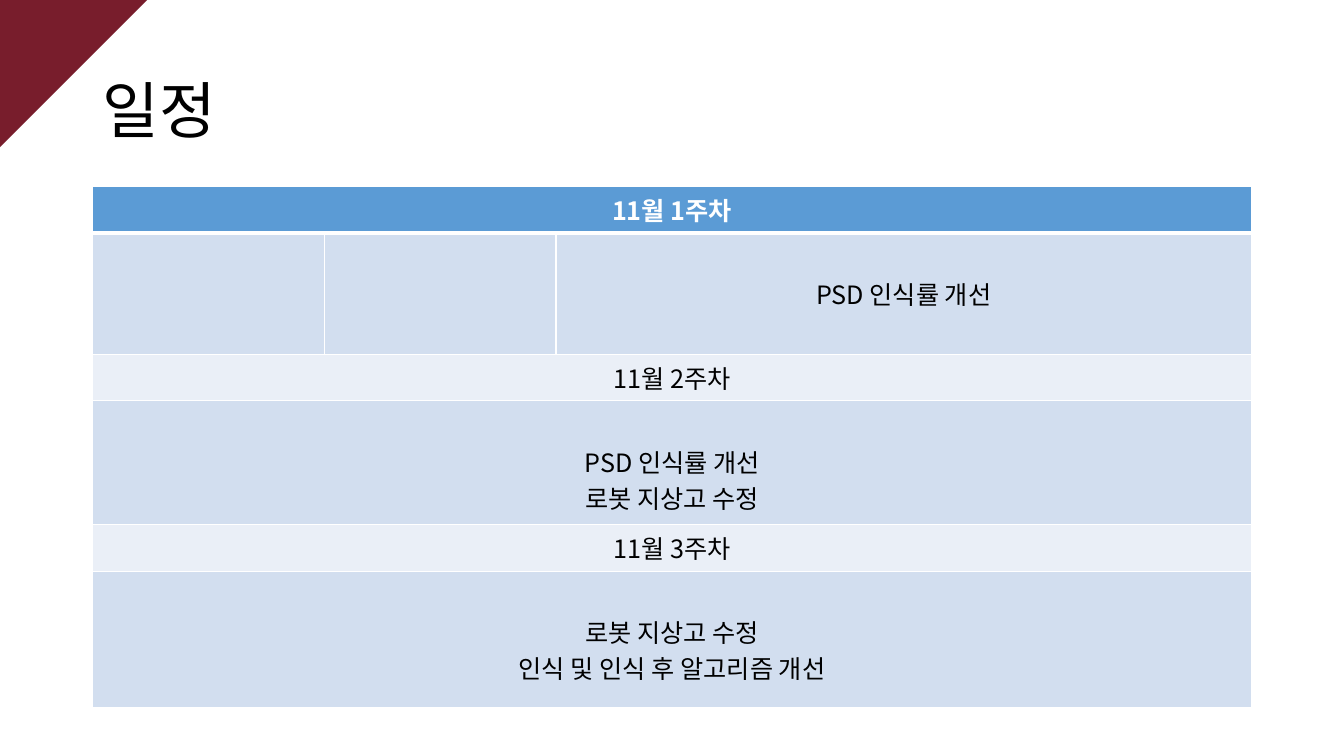
import pptx
import pptx.util
import pptx.dml.color
import pptx.enum.shapes
import pptx.enum.text
import pptx.oxml
import pptx.oxml.ns
from lxml import etree

Cm = pptx.util.Cm
Pt = pptx.util.Pt
RGB = pptx.dml.color.RGBColor
Align = pptx.enum.text.PP_ALIGN
Anchor = pptx.enum.text.MSO_ANCHOR

WINE = RGB(0x78, 0x1D, 0x2C)
BLUE = RGB(0x5B, 0x9B, 0xD5)
BAND = RGB(0xD2, 0xDE, 0xEF)
PALE = RGB(0xEA, 0xEF, 0xF7)
WHITE = RGB(0xFF, 0xFF, 0xFF)
BLACK = RGB(0x00, 0x00, 0x00)

LEFT, WIDTH = Cm(2.33), Cm(29.21)
COLS = [5.84, 5.84, 17.53]

# height in cm, fill, first column of the text, text
ROWS = [
    (1.12, BLUE, 0, "11월 1주차"),
    (3.05, BAND, 2, "PSD 인식률 개선"),
    (1.09, PALE, 0, "11월 2주차"),
    (3.12, BAND, 0, "PSD 인식률 개선\n로봇 지상고 수정"),
    (1.09, PALE, 0, "11월 3주차"),
    (3.45, BAND, 0, "로봇 지상고 수정\n인식 및 인식 후 알고리즘 개선"),
]


class Deck:
    font = "Noto Sans CJK KR"

    def __init__(self):
        self.file = pptx.Presentation()
        self.file.slide_width = Cm(33.87)
        self.file.slide_height = Cm(19.05)
        self.slide = self.file.slides.add_slide(self.file.slide_layouts[5])

    def style(self, frame, size, color, align, bold=False):
        for para in frame.paragraphs:
            para.alignment = align
            for run in para.runs:
                font = run.font
                font.name, font.size, font.bold = self.font, Pt(size), bold
                font.color.rgb = color
                east = etree.SubElement(run._r.get_or_add_rPr(), pptx.oxml.ns.qn("a:ea"))
                east.set("typeface", self.font)

    def corner(self, side):
        shape = self.slide.shapes.add_shape(
            pptx.enum.shapes.MSO_SHAPE.RIGHT_TRIANGLE, 0, 0, side, side)
        shape.rotation = 90
        shape.shadow.inherit = False
        shape.fill.solid()
        shape.fill.fore_color.rgb = WINE
        shape.line.fill.background()

    def title(self, text):
        box = self.slide.shapes.title
        box.left, box.top, box.width, box.height = LEFT, Cm(1.02), WIDTH, Cm(3.68)
        frame = box.text_frame
        frame.text = text
        frame.vertical_anchor = Anchor.MIDDLE
        frame.paragraphs[0].line_spacing = 0.9
        self.style(frame, 44, BLACK, Align.LEFT)

    def edges(self, cell, row):
        """Draw white cell borders, thick below the header row."""
        thick = {(0, "B"), (1, "T")}
        for side in "LRTB":
            width = Pt(3 if (row, side) in thick else 1)
            cell._tc.get_or_add_tcPr().append(pptx.oxml.parse_xml(
                f'<a:ln{side} {pptx.oxml.ns.nsdecls("a")} w="{width}"><a:solidFill>'
                f'<a:srgbClr val="{WHITE}"/></a:solidFill></a:ln{side}>'))

    def table(self, top):
        high = Cm(sum(row[0] for row in ROWS))
        grid = self.slide.shapes.add_table(
            len(ROWS), len(COLS), LEFT, top, WIDTH, high).table
        for col, width in zip(grid.columns, COLS):
            col.width = Cm(width)
        for i, (high, fill, start, text) in enumerate(ROWS):
            grid.rows[i].height = Cm(high)
            for j in range(len(COLS)):
                cell = grid.cell(i, j)
                self.edges(cell, i)
                cell.fill.solid()
                cell.fill.fore_color.rgb = fill
            cell = grid.cell(i, start)
            if start == 0:
                cell.merge(grid.cell(i, len(COLS) - 1))
            if fill == BAND:
                cell.margin_top = Cm(1.06)
            cell.text_frame.text = text
            head = i == 0
            self.style(cell.text_frame, 18, WHITE if head else BLACK, Align.CENTER, head)


def main():
    deck = Deck()
    deck.corner(Cm(3.71))
    deck.title("일정")
    deck.table(Cm(4.7))
    deck.file.save("out.pptx")


if __name__ == "__main__":
    main()
